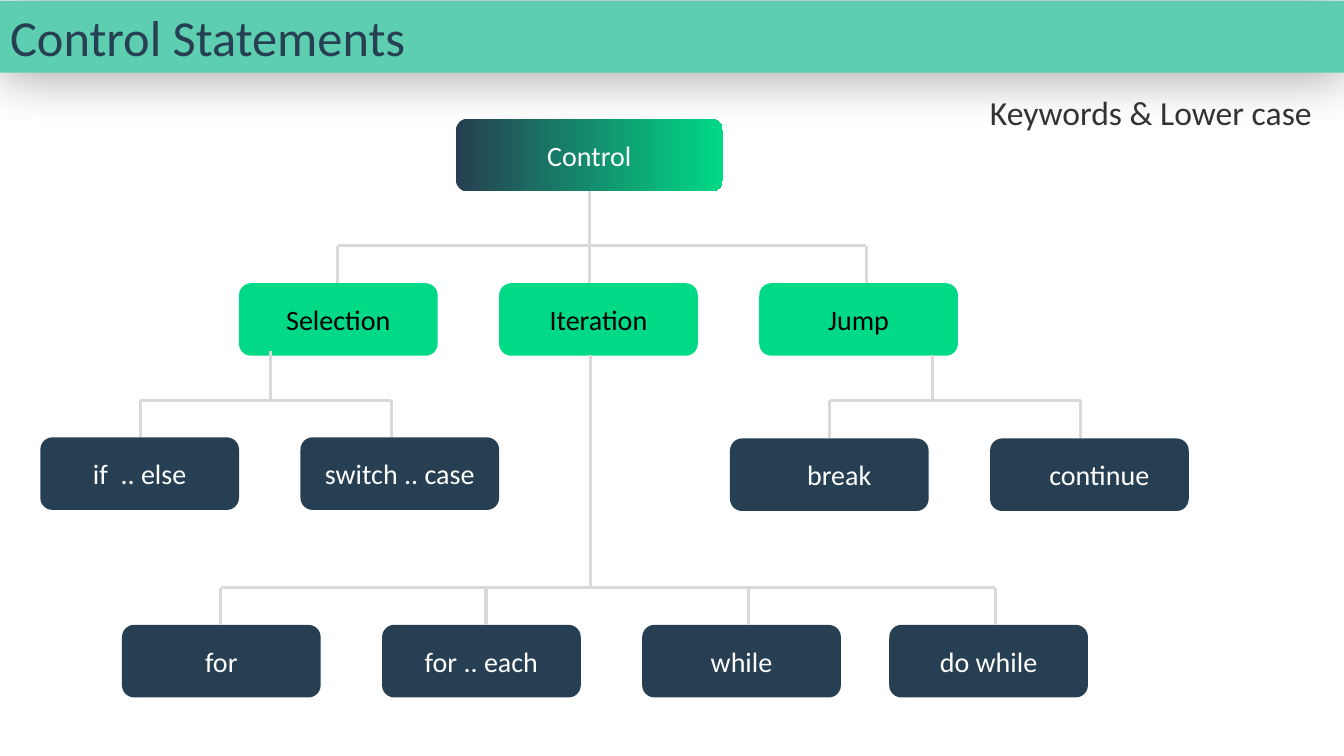
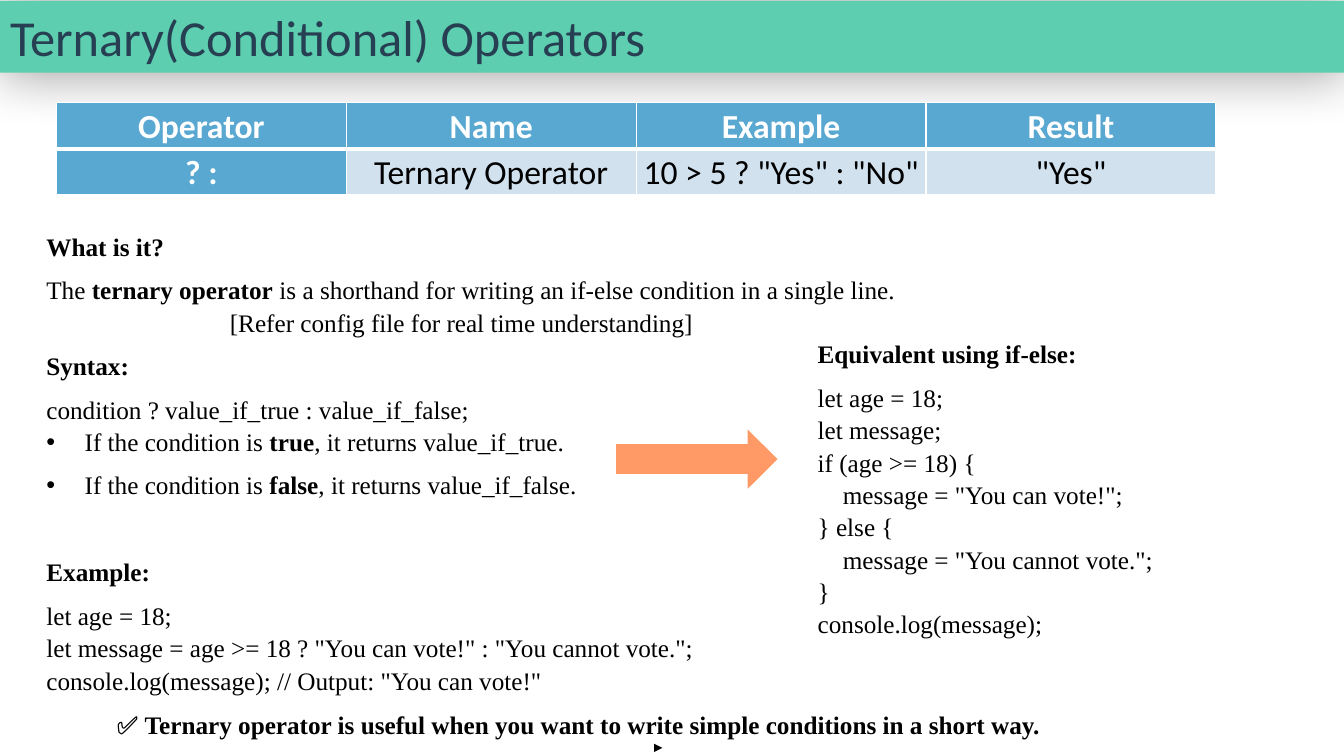
from collections import namedtuple
from dataclasses import dataclass
from itertools import product

from lxml import etree
from pptx import Presentation
from pptx import util as u
from pptx.dml.color import RGBColor
from pptx.enum import shapes, text
from pptx.oxml import ns


@dataclass(frozen=True)
class Theme:
    band: str = "5DCEAF"
    navy: str = "273F52"
    green: str = "00D986"
    rail: str = "D9D9D9"
    gray: str = "333333"
    head: str = "59A8D1"
    cell: str = "D1E1EE"
    arrow: str = "FF9966"
    white: str = "FFFFFF"
    black: str = "000000"
    sans: str = "Calibri"
    serif: str = "Times New Roman"
    mark: str = "Karla"
    title: int = 36
    large: int = 24
    label: int = 20
    body: int = 18


T = Theme()
MID, TOP = text.MSO_ANCHOR.MIDDLE, text.MSO_ANCHOR.TOP
LEFT, MIDST = text.PP_ALIGN.LEFT, text.PP_ALIGN.CENTER


class Box(namedtuple("Box", "left top width height")):
    def sub(self, x, y, w, h):
        return Box(*self.at(x, y), round(self.width * w / 100), round(self.height * h / 100))

    def at(self, x, y):
        return (round(self.left + self.width * x / 100),
                round(self.top + self.height * y / 100))


def put(obj, vals):
    for key, val in vals.items():
        setattr(obj, key, val)


def rgb(code):
    return RGBColor.from_string(code)


def paint(fill, code):
    fill.solid()
    fill.fore_color.rgb = rgb(code)


def add(par, tag, **vals):
    return etree.SubElement(par, ns.qn(tag), vals)


def say(para, words, size, color, name=T.sans, bold=False):
    run = para.add_run()
    run.text = words
    put(run.font, dict(size=u.Pt(size), name=name, bold=bold))
    run.font.color.rgb = rgb(color)


def frame(shape, anchor=MID, wrap=True):
    tf = shape.text_frame
    put(tf, dict(auto_size=text.MSO_AUTO_SIZE.NONE, word_wrap=wrap, vertical_anchor=anchor))
    return tf


def shape(slide, kind, box, color):
    item = slide.shapes.add_shape(kind, *box)
    item.shadow.inherit = False
    paint(item.fill, color)
    item.line.fill.background()
    return item


def line(slide, start, end, color, width, tip=None):
    item = slide.shapes.add_connector(shapes.MSO_CONNECTOR.STRAIGHT, *start, *end)
    item.line.color.rgb = rgb(color)
    item.line.width = u.Pt(width)
    if tip:
        add(item.line._get_or_add_ln(), "a:tailEnd", type=tip)
    add(item._element.spPr, "a:effectLst")


def title(slide, box, words):
    bar = slide.shapes.title
    put(bar, box._asdict())
    paint(bar.fill, T.band)
    para = frame(bar).paragraphs[0]
    para.alignment = LEFT
    say(para, words, T.title, T.navy)
    glow = add(add(bar._element.spPr, "a:effectLst"), "a:outerShdw",
               blurRad=str(u.Pt(39)), dist="0", dir="0", algn="ctr", rotWithShape="0")
    add(add(glow, "a:srgbClr", val=T.black), "a:alpha", val="40000")


def node(slide, box, words, fill, ink, shift=0):
    item = shape(slide, shapes.MSO_SHAPE.ROUNDED_RECTANGLE, box, fill)
    tf = frame(item)
    put(tf, dict(margin_left=round(box.width * shift / 100), margin_right=0))
    para = tf.paragraphs[0]
    para.alignment = MIDST
    say(para, words, T.label, ink)
    return item


WIDE, HIGH, STEP = 17.3, 12.54, 22.65
NODES = [
    (17.3, 28.4, T.green, T.black, 0, ["Selection", "Iteration", "Jump"]),
    (0, 55.05, T.navy, T.white, 0, ["if  .. else", "switch .. case"]),
    (60.05, 55.23, T.navy, T.white, 10, ["break", "continue"]),
    (7.11, 87.46, T.navy, T.white, 0, ["for", "for .. each", "while"]),
    (73.92, 87.46, T.navy, T.white, 0, ["do while"]),
]
FORKS = [
    (47.85, 12.54, 21.95, 28.4, [25.9, 47.85, 71.91]),
    (20.02, 40.07, 48.61, 55.05, [8.69, 30.55]),
    (77.7, 40.77, 48.61, 55.23, [68.74, 90.61]),
    (47.94, 40.77, 81.01, 87.46, [15.72, 38.81, 61.63, 83.14]),
]


def fork(slide, box, stem, top, rail, foot, drops):
    spans = [(stem, top, stem, rail), (drops[0], rail, drops[-1], rail)]
    spans += [(x, rail, x, foot) for x in drops]
    for x, y, right, low in spans:
        line(slide, box.at(x, y), box.at(right, low), T.rail, 2.25)


def tree(slide, box):
    root = node(slide, box.sub(36.17, 0, 23.27, HIGH), "Control", T.navy, T.white)
    root.fill.gradient()
    root.fill.gradient_angle = 0
    for stop, pos, code in zip(root.fill.gradient_stops, (0, 1), (T.navy, T.green)):
        stop.position = pos
        stop.color.rgb = rgb(code)
    for x, y, fill, ink, shift, names in NODES:
        for i, name in enumerate(names):
            node(slide, box.sub(x + i * STEP, y, WIDE, HIGH), name, fill, ink, shift)
    for item in FORKS:
        fork(slide, box, *item)


def label(slide, box, parts, wrap=True):
    para = frame(slide.shapes.add_textbox(*box), TOP, wrap).paragraphs[0]
    for part in parts:
        say(para, *part)


GRID = [
    ["Operator", "Name", "Example", "Result"],
    ["? :", "Ternary Operator", '10 > 5 ? "Yes" : "No"', '"Yes"'],
]


def edge(cell, low):
    props = cell._tc.get_or_add_tcPr()
    sides = zip(("a:lnL", "a:lnR", "a:lnT", "a:lnB"), (1, 1, 1, low))
    for i, (tag, width) in enumerate(sides):
        ln = etree.Element(ns.qn(tag), w=str(u.Pt(width)))
        add(add(ln, "a:solidFill"), "a:srgbClr", val=T.white)
        props.insert(i, ln)


def table(slide, box):
    grid = slide.shapes.add_table(len(GRID), len(GRID[0]), *box).table
    pad = u.Inches(0.01)
    for r, c in product(range(len(GRID)), range(len(GRID[0]))):
        main = r == 0 or c == 0
        cell = grid.cell(r, c)
        put(cell, dict(margin_left=pad, margin_right=pad, margin_top=pad,
                       margin_bottom=pad, vertical_anchor=MID))
        paint(cell.fill, T.head if main else T.cell)
        edge(cell, 1 if r else 3)
        para = cell.text_frame.paragraphs[0]
        put(para, dict(alignment=MIDST, line_spacing=1.07))
        say(para, GRID[r][c], T.large, T.white if main else T.black, bold=main)


Style = namedtuple("Style", "before after margin hang", defaults=(0, 0, 0, 0))
STYLES = dict(
    head=Style(after=8), late=Style(before=31, after=8), code=Style(),
    deep=Style(margin=0.25), refer=Style(after=8, margin=1.82),
    dot=Style(after=8, margin=0.38, hang=-0.38),
)
LESSON = [
    ("head", "**What is it?"),
    ("code", "The **ternary operator** is a shorthand for writing an if-else condition in a single line."),
    ("refer", "[Refer config file for real time understanding]"),
    ("head", "**Syntax:"),
    ("code", "condition ? value_if_true : value_if_false;"),
    ("dot", "If the condition is **true**, it returns value_if_true."),
    ("dot", "If the condition is **false**, it returns value_if_false."),
    ("late", "**Example:"),
    ("code", "let age = 18;"),
    ("code", 'let message = age >= 18 ? "You can vote!" : "You cannot vote.";'),
    ("code", 'console.log(message); // Output: "You can vote!"'),
]
EQUAL = [
    ("head", "**Equivalent using if-else:"),
    ("code", "let age = 18;"),
    ("code", "let message;"),
    ("code", "if (age >= 18) {"),
    ("deep", 'message = "You can vote!";'),
    ("code", "} else {"),
    ("deep", 'message = "You cannot vote.";'),
    ("code", "}"),
    ("code", "console.log(message);"),
]


def prose(holder, box, rows):
    put(holder, box._asdict())
    tf = frame(holder, TOP)
    for i, (kind, words) in enumerate(rows):
        para = tf.add_paragraph() if i else tf.paragraphs[0]
        look = STYLES[kind]
        put(para, dict(line_spacing=1.07, space_before=u.Pt(look.before),
                       space_after=u.Pt(look.after)))
        props = para._p.get_or_add_pPr()
        props.set("marL", str(u.Inches(look.margin)))
        props.set("indent", str(u.Inches(look.hang)))
        if look.hang:
            add(props, "a:buFont", typeface="Arial")
            add(props, "a:buChar", char="•")
        else:
            add(props, "a:buNone")
        for j, part in enumerate(words.split("**")):
            if part:
                say(para, part, T.body, T.black, T.serif, j % 2 == 1)


def begin(deck, page, layout, words):
    slide = deck.slides.add_slide(deck.slide_layouts[layout])
    title(slide, page.sub(0, 0.13, 100, 9.47), words)
    return slide


def control(deck, page):
    slide = begin(deck, page, 5, "Control Statements")
    tree(slide, page.sub(3, 15.73, 85.45, 76.53))
    label(slide, page.sub(72.92, 11.47, 25.66, 6.67),
          [("Keywords & Lower case", T.large, T.gray)], False)


def ternary(deck, page):
    slide = begin(deck, page, 3, "Ternary(Conditional) Operators")
    line(slide, page.at(48.76, 98.93), page.at(49.29, 98.93), T.black, 1.5, "triangle")
    table(slide, page.sub(4.2, 13.6, 86.27, 11.47))
    prose(slide.placeholders[1], page.sub(2.7, 29.6, 87.77, 68), LESSON)
    prose(slide.placeholders[2], page.sub(60.09, 43.87, 37, 41.6), EQUAL)
    shape(slide, shapes.MSO_SHAPE.RIGHT_ARROW, page.sub(45.84, 56.8, 12, 7.87), T.arrow)
    label(slide, page.sub(7.95, 93.2, 85.45, 5.73), [
        ("✅ ", T.body, T.black, T.mark),
        ("Ternary operator is useful when you want to write simple conditions in a short way.",
         T.body, T.black, T.serif, True)])


def main():
    deck = Presentation()
    put(deck, dict(slide_width=u.Inches(13.33), slide_height=u.Inches(7.5)))
    page = Box(0, 0, deck.slide_width, deck.slide_height)
    control(deck, page)
    ternary(deck, page)
    deck.save("out.pptx")


if __name__ == "__main__":
    main()
